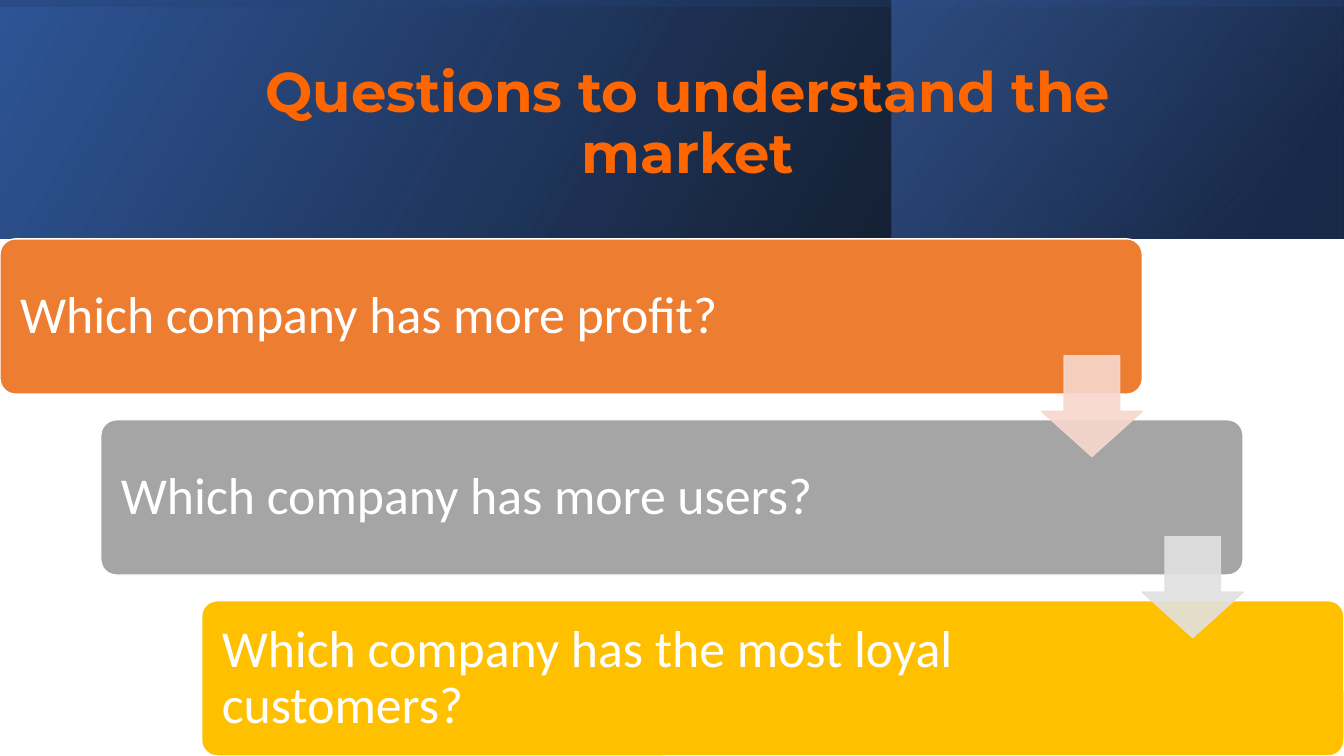
import pptx
import pptx.util
import pptx.dml.color
import pptx.enum.shapes
import pptx.enum.text
import pptx.oxml
import pptx.oxml.ns

Inches = pptx.util.Inches
Pt = pptx.util.Pt
Kind = pptx.enum.shapes.MSO_SHAPE
Align = pptx.enum.text.PP_ALIGN
Anchor = pptx.enum.text.MSO_ANCHOR
qn = pptx.oxml.ns.qn

WIDE, HIGH, BAND = 13.33, 7.5, 2.37
STEPS = [
    ("Which company has more profit?", "ED7D31", 9.67),
    ("Which company has more users?", "A5A5A5", 9.24),
    ("Which company has the most loyal customers?", "FFC000", 9.24),
]
ARROWS = ["F8D7CE", "E1E1E1"]


def paint(color, code):
    color.rgb = pptx.dml.color.RGBColor.from_string(code)


def fade(nodes, alphas):
    for node, alpha in zip(nodes, alphas):
        child = pptx.oxml.ns.nsdecls("a")
        node.append(pptx.oxml.parse_xml(f'<a:alpha {child} val="{alpha * 1000}"/>'))


def colors(shape):
    return list(shape._element.spPr.iter(qn("a:srgbClr")))


def place(item, box):
    item.left, item.top, item.width, item.height = map(Inches, box)


def draw(slide, kind, box):
    shape = slide.shapes.add_shape(kind, *map(Inches, box))
    shape.shadow.inherit = False
    return shape


def solid(shape, fill, line):
    shape.fill.solid()
    paint(shape.fill.fore_color, fill)
    paint(shape.line.color, line)
    shape.line.width = Pt(1)


def write(frame, text, font, size, code, bold=False):
    frame.word_wrap = True
    frame.auto_size = pptx.enum.text.MSO_AUTO_SIZE.NONE
    frame.vertical_anchor = Anchor.MIDDLE
    para = frame.paragraphs[0]
    para.line_spacing = 0.9
    run = para.add_run()
    run.text = text
    run.font.name = font
    run.font.size = Pt(size)
    run.font.bold = bold
    paint(run.font.color, code)
    return para


def blend(slide, box, stops, angle, turn=0):
    shape = draw(slide, Kind.RECTANGLE, box)
    shape.rotation = turn
    shape._element.spPr.find(qn("a:xfrm")).set("flipH", "1")
    shape.line.fill.background()
    shape.fill.gradient()
    shape.fill.gradient_angle = 360 - angle
    for stop, (pos, code, alpha) in zip(shape.fill.gradient_stops, stops):
        stop.position = pos
        paint(stop.color, code)
    fade(colors(shape), [alpha for pos, code, alpha in stops])


def header(slide, box):
    left, top, width, height = box
    blend(slide, box, [(0, "000000", 96), (1, "2F5597", 100)], 330)
    blend(slide, (left + 8.84, top, 4.48, height),
          [(0.19, "203864", 68), (1, "4472C4", 48)], 320)
    mid = left + width / 2
    blend(slide, (mid - height / 2, top + height / 2 - width / 2, height, width),
          [(0.23, "2F5597", 16), (0.99, "000000", 45)], 350, 270)
    title = slide.shapes.title
    place(title, (left + 1.51, top + 0.38, 10.63, 1.72))
    para = write(title.text_frame, "Questions to understand the market",
                 "Montserrat", 40, "FF6600", True)
    para.alignment = Align.CENTER
    slide.shapes._spTree.append(title._element)


def step(slide, box, text, fill, room):
    left, top, width, height = box
    card = draw(slide, Kind.ROUNDED_RECTANGLE, box)
    card.adjustments[0] = 0.1
    solid(card, fill, "FFFFFF")
    label = slide.shapes.add_textbox(
        *map(Inches, (left + 0.05, top + 0.05, room, height - 0.09)))
    frame = label.text_frame
    frame.margin_left = frame.margin_right = Inches(0.15)
    frame.margin_top = frame.margin_bottom = Inches(0.15)
    write(frame, text, "Calibri", 37, "FFFFFF").alignment = Align.LEFT


def arrow(slide, box, code):
    shape = draw(slide, Kind.DOWN_ARROW, box)
    shape.adjustments[0] = 0.55
    shape.adjustments[1] = 0.45
    solid(shape, code, code)
    fade(colors(shape), [90, 90])


def stairs(slide, box):
    left, top, width, height = box
    wide, high, shift = width - 2, 1.54, 1
    pitch = (height - high) / (len(STEPS) - 1)
    for i, (text, fill, room) in enumerate(STEPS):
        step(slide, (left + i * shift, top + i * pitch, wide, high), text, fill, room)
    for i, code in enumerate(ARROWS):
        arrow(slide, (left + wide - 1 + i * shift, top + 1.16 + i * pitch, 1, 1), code)


def main():
    deck = pptx.Presentation()
    deck.slide_width = Inches(WIDE)
    deck.slide_height = Inches(HIGH)
    slide = deck.slides.add_slide(deck.slide_layouts[5])
    slide.background.fill.solid()
    paint(slide.background.fill.fore_color, "FFFFFF")
    header(slide, (0, 0, WIDE, BAND))
    stairs(slide, (0, BAND, WIDE, HIGH - BAND))
    deck.save("out.pptx")


if __name__ == "__main__":
    main()
